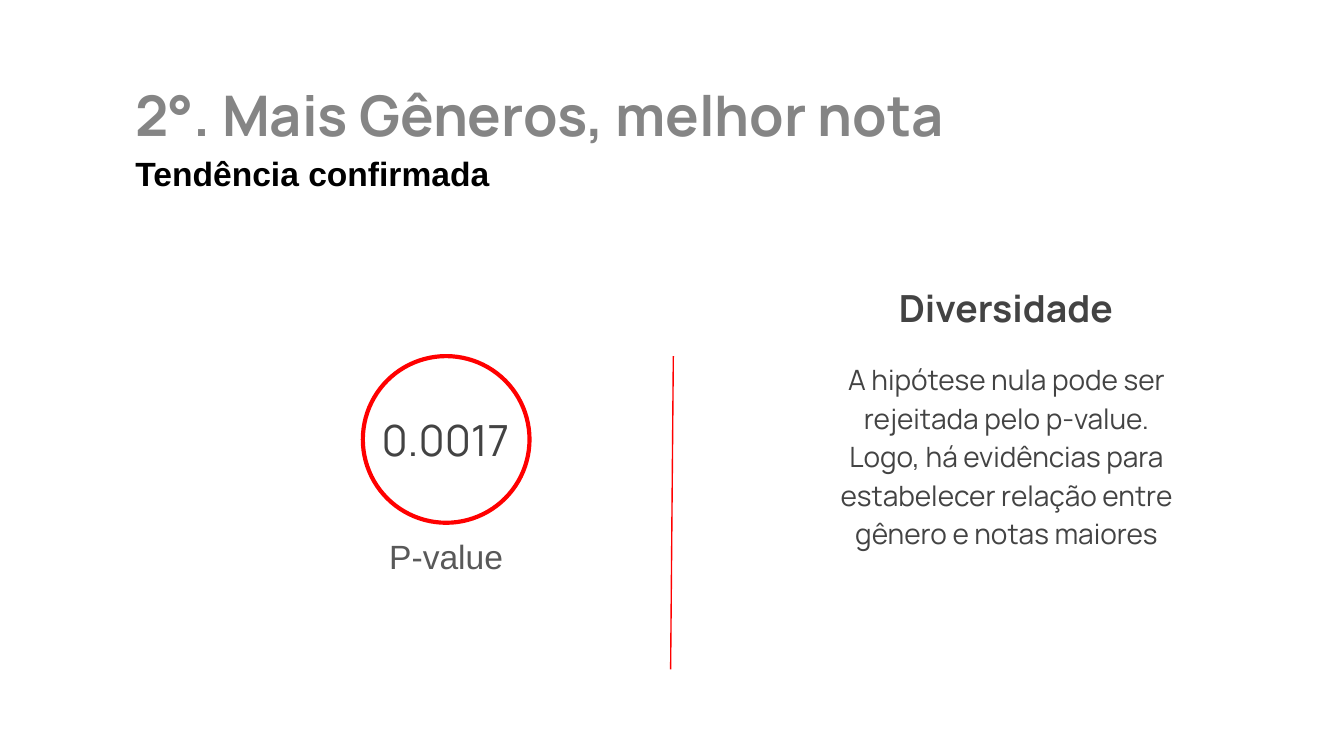
from pptx import Presentation, util as u
from pptx.dml.color import RGBColor
from pptx.enum import shapes, text
from pptx.oxml.ns import qn
from lxml import etree

COLUMNS, ROWS = 100, 56.25
CELL = u.Inches(0.1)
TITLE = {"name": "Manrope", "size": 30, "bold": True, "color": "858585"}
SUBTITLE = {"name": "Arial", "size": 18, "bold": True, "color": "000000"}
VALUE = {"name": "Manrope", "size": 23, "color": "434343"}
LABEL = {"name": "Arial", "size": 18, "color": "595959"}
HEADING = {"name": "Manrope", "size": 20, "bold": True, "color": "434343"}
BODY = {"name": "Manrope", "size": 15, "color": "434343"}
CENTER, MIDDLE = text.PP_ALIGN.CENTER, text.MSO_ANCHOR.MIDDLE


def rgb(value):
    """Turn a hex string into a colour."""
    return RGBColor.from_string(value)


def grid(*cells):
    """Turn columns and rows of the grid into slide lengths."""
    return [round(cell * CELL) for cell in cells]


def style_line(line, color, width):
    """Give a line its colour and its width in points."""
    line.fill.solid()
    line.fill.fore_color.rgb = rgb(color)
    line.width = u.Pt(width)


def add_text(page, place, wording, style, align=text.PP_ALIGN.LEFT,
             anchor=text.MSO_ANCHOR.TOP, spacing=1.0):
    """Add a wrapping text box holding one styled paragraph."""
    frame = page.shapes.add_textbox(*grid(*place)).text_frame
    margins = {f"margin_{side}": CELL for side in ("left", "top", "right", "bottom")}
    for name, value in {"word_wrap": True, "vertical_anchor": anchor, **margins}.items():
        setattr(frame, name, value)
    para = frame.paragraphs[0]
    para.alignment, para.line_spacing = align, spacing
    span = para.add_run()
    span.text = wording
    for name, value in style.items():
        if name == "color":
            span.font.color.rgb = rgb(value)
        else:
            setattr(span.font, name, u.Pt(value) if name == "size" else value)


def add_ring(page, place, fill, color, width):
    """Add an outlined circle."""
    ring = page.shapes.add_shape(shapes.MSO_SHAPE.OVAL, *grid(*place))
    ring.shadow.inherit = False
    ring.fill.solid()
    ring.fill.fore_color.rgb = rgb(fill)
    style_line(ring.line, color, width)


def add_divider(page, ends, color, width):
    """Add a straight line without a shadow."""
    divider = page.shapes.add_connector(shapes.MSO_CONNECTOR.STRAIGHT, *grid(*ends))
    style_line(divider.line, color, width)
    etree.SubElement(divider._element.spPr, qn("a:effectLst"))


def main():
    """Build and save the slide."""
    deck = Presentation()
    deck.slide_width, deck.slide_height = grid(COLUMNS, ROWS)
    page = deck.slides.add_slide(deck.slide_layouts[6])

    add_text(page, (9.1, 3.6, 75, 9.8), "2°. Mais Gêneros, melhor nota", TITLE, anchor=MIDDLE)
    add_text(page, (9.1, 10.4, 71.6, 5), "Tendência confirmada", SUBTITLE)

    add_ring(page, (27, 26.5, 12.4, 12.4), "FFFFFF", "FF0000", 2.25)
    add_text(page, (25.6, 28.6, 15.1, 8.2), "0.0017", VALUE, CENTER, MIDDLE)
    add_text(page, (23.2, 38.1, 20, 6.5), "P-value", LABEL, CENTER, MIDDLE)

    add_text(page, (63.2, 20.2, 23.3, 5.4), "Diversidade", HEADING, CENTER)
    add_text(page, (60.7, 25.6, 28.4, 23.7),
             "A hipótese nula pode ser rejeitada pelo p-value. Logo, há evidências "
             "para estabelecer relação entre gênero e notas maiores",
             BODY, CENTER, spacing=1.15)
    add_divider(page, (49.9, 49.8, 50.1, 26.5), "FF0000", 0.75)

    deck.save("out.pptx")


if __name__ == "__main__":
    main()
